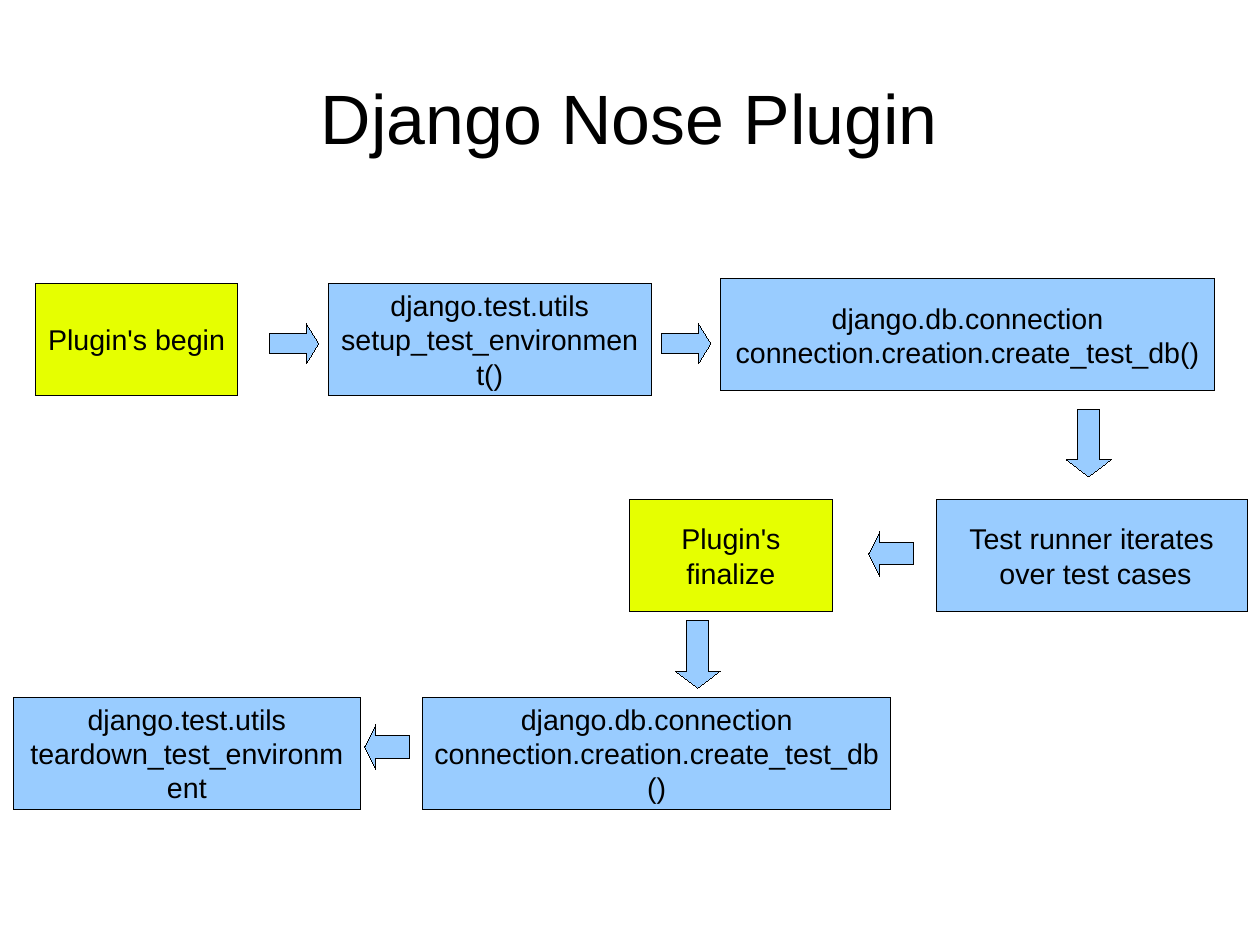
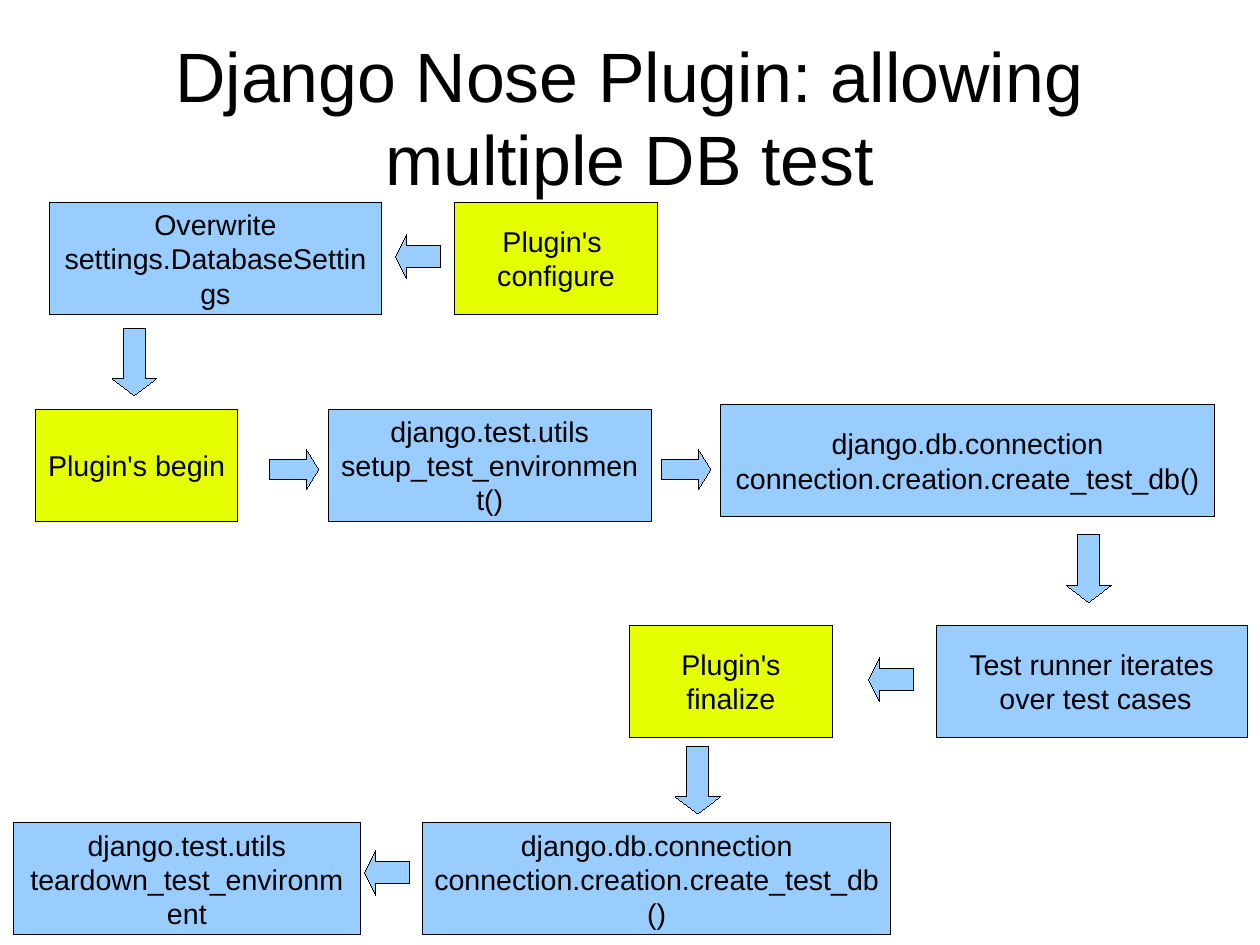
from pptx import Presentation
from pptx.dml.color import RGBColor
from pptx.enum.shapes import MSO_SHAPE
from pptx.enum.text import MSO_ANCHOR, MSO_AUTO_SIZE, PP_ALIGN
from pptx.util import Inches, Pt

YELLOW, BLUE, BLACK = "E6FF00", "99CCFF", "000000"
BOX_HEIGHT = 0.98
STEP_WIDTH = 1.77
ARROWS = {
    "right": (MSO_SHAPE.RIGHT_ARROW, 0.43, 0.35, 0.31),
    "left": (MSO_SHAPE.LEFT_ARROW, 0.39, 0.39, 0.25),
    "down": (MSO_SHAPE.DOWN_ARROW, 0.39, 0.59, 0.38),
}


def color(value):
    return RGBColor.from_string(value)


def apply(target, values):
    for name, value in values.items():
        setattr(target, name, value)


class FlowDeck:
    def __init__(self, deck):
        self.deck = deck
        self.page = None

    def text(self, shape, lines, size, frame_format):
        frame = shape.text_frame
        apply(frame, {"word_wrap": True, "vertical_anchor": MSO_ANCHOR.MIDDLE, **frame_format})
        for number, line in enumerate(lines):
            para = frame.add_paragraph() if number else frame.paragraphs[0]
            para.alignment = PP_ALIGN.CENTER
            span = para.add_run()
            span.text = line
            apply(span.font, {"name": "Arial", "size": Pt(size)})
            span.font.color.rgb = color(BLACK)

    def add_page(self, title, top, height):
        self.page = self.deck.slides.add_slide(self.deck.slide_layouts[5])
        box = self.page.shapes.title
        apply(box, {"left": Inches(0.55), "top": Inches(top),
                    "width": Inches(9.92), "height": Inches(height)})
        margins = {f"margin_{side}": 0 for side in ("left", "top", "right", "bottom")}
        self.text(box, [title], 44, {**margins, "auto_size": MSO_AUTO_SIZE.SHAPE_TO_FIT_TEXT})

    def shape(self, kind, left, top, width, height, fill):
        shape = self.page.shapes.add_shape(
            kind, Inches(left), Inches(top), Inches(width), Inches(height))
        shape.shadow.inherit = False
        shape.fill.solid()
        shape.fill.fore_color.rgb = color(fill)
        shape.line.color.rgb = color(BLACK)
        shape.element.spPr.get_or_add_ln().set("w", "0")
        return shape

    def box(self, left, top, width, fill, *lines):
        box = self.shape(MSO_SHAPE.FLOWCHART_PROCESS, left, top, width, BOX_HEIGHT, fill)
        self.text(box, lines, 18, {})

    def arrow(self, direction, left, top):
        kind, width, height, head = ARROWS[direction]
        arrow = self.shape(kind, left, top, width, height, BLUE)
        arrow.adjustments[0] = 0.5
        arrow.adjustments[1] = head

    def test_flow(self, top):
        database = ("django.db.connection", "connection.creation.create_test_db()")
        second_row, third_row = top + 1.89, top + 3.62
        self.box(0.31, top, STEP_WIDTH, YELLOW, "Plugin's begin")
        self.box(2.87, top, 2.83, BLUE, "django.test.utils", "setup_test_environment()")
        self.box(6.3, top - 0.04, 4.33, BLUE, *database)
        for left in (2.36, 5.79):
            self.arrow("right", left, top + 0.35)
        self.arrow("down", 9.33, top + 1.1)
        self.box(8.19, second_row, 2.72, BLUE, "Test runner iterates", " over test cases")
        self.box(3.7, third_row, 4.09, BLUE, *database)
        self.box(0.12, third_row, 3.03, BLUE, "django.test.utils", "teardown_test_environment")
        self.arrow("left", 7.6, second_row + 0.28)
        self.arrow("left", 3.19, third_row + 0.24)
        self.box(5.51, second_row, STEP_WIDTH, YELLOW, "Plugin's finalize")
        self.arrow("down", 5.91, second_row + 1.06)

    def configure_flow(self, top):
        self.box(3.98, top, STEP_WIDTH, YELLOW, "Plugin's ", "configure")
        self.box(0.43, top, 2.91, BLUE, "Overwrite", "settings.DatabaseSettings")
        self.arrow("left", 3.46, top + 0.28)
        self.arrow("down", 0.98, top + 1.1)


deck = Presentation()
deck.slide_width = Inches(28 / 2.54)
deck.slide_height = Inches(21 / 2.54)
flow = FlowDeck(deck)
flow.add_page("Django Nose Plugin", 0.33, 1.38)
flow.test_flow(2.48)
flow.add_page("Django Nose Plugin: allowing multiple DB test", 0.33, 1.37)
flow.test_flow(3.58)
flow.configure_flow(1.77)
deck.save("out.pptx")
